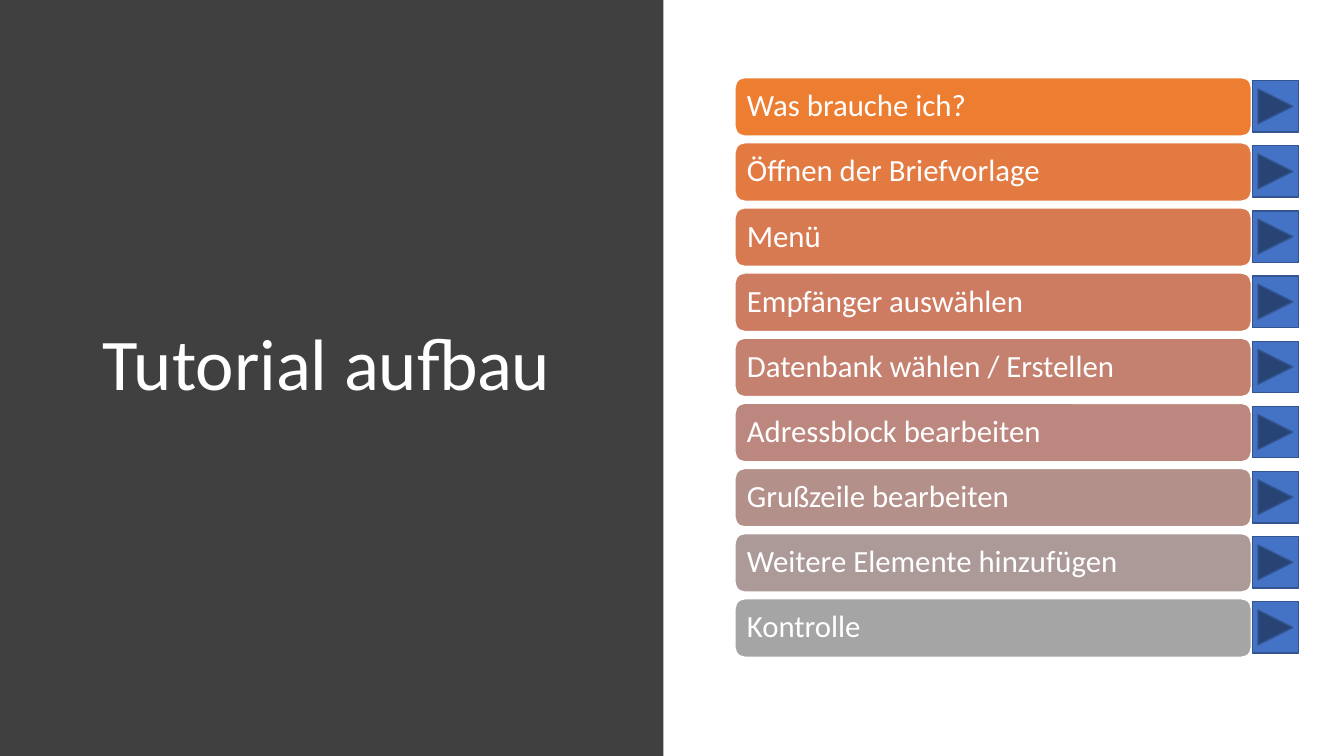
from pptx import Presentation
from pptx.dml.color import RGBColor
from pptx.enum.shapes import MSO_SHAPE
from pptx.enum.text import MSO_ANCHOR, MSO_AUTO_SIZE, PP_ALIGN
from pptx.util import Inches, Pt

RECT = MSO_SHAPE.RECTANGLE
ROUNDED = MSO_SHAPE.ROUNDED_RECTANGLE
FORWARD = MSO_SHAPE.ACTION_BUTTON_FORWARD_OR_NEXT
MIDDLE = MSO_ANCHOR.MIDDLE
LEFT = PP_ALIGN.LEFT
NO_FIT = MSO_AUTO_SIZE.NONE

WHITE = RGBColor(0xFF, 0xFF, 0xFF)
DARK = RGBColor(0x40, 0x40, 0x40)
BLUE = RGBColor(0x44, 0x72, 0xC4)
BLUE_EDGE = RGBColor(0x32, 0x54, 0x91)

STEPS = [
    ("Was brauche ich?", RGBColor(0xED, 0x7D, 0x31)),
    ("Öffnen der Briefvorlage", RGBColor(0xE2, 0x7A, 0x42)),
    ("Menü", RGBColor(0xD8, 0x7A, 0x51)),
    ("Empfänger auswählen", RGBColor(0xCE, 0x7C, 0x61)),
    ("Datenbank wählen / Erstellen", RGBColor(0xC4, 0x81, 0x70)),
    ("Adressblock bearbeiten", RGBColor(0xBC, 0x87, 0x7E)),
    ("Grußzeile bearbeiten", RGBColor(0xB4, 0x90, 0x8B)),
    ("Weitere Elemente hinzufügen", RGBColor(0xAC, 0x9A, 0x99)),
    ("Kontrolle", RGBColor(0xA5, 0xA5, 0xA5)),
]
FIRST_TOP, LAST_TOP = 0.77, 5.94
PITCH = (LAST_TOP - FIRST_TOP) / (len(STEPS) - 1)


def add_box(kind, left, top, width, height, fill, line=None):
    sp = slide.shapes.add_shape(
        kind, Inches(left), Inches(top), Inches(width), Inches(height))
    sp.shadow.inherit = False
    sp.fill.solid()
    sp.fill.fore_color.rgb = fill
    if line is None:
        sp.line.fill.background()
    else:
        sp.line.color.rgb = line
        sp.line.width = Pt(1)
    return sp


def set_text(sp, text, size, inset=0.1):
    tf = sp.text_frame
    tf.word_wrap = True
    tf.auto_size = NO_FIT
    tf.vertical_anchor = MIDDLE
    tf.margin_left = tf.margin_right = Inches(inset)
    tf.margin_top = tf.margin_bottom = Inches(0.05)
    p = tf.paragraphs[0]
    p.alignment = LEFT
    p.line_spacing = 0.9
    r = p.add_run()
    r.text = text
    r.font.name = "Calibri"
    r.font.size = Pt(size)
    r.font.color.rgb = WHITE


prs = Presentation()
prs.slide_width = Inches(13.33)
prs.slide_height = Inches(7.5)
slide = prs.slides.add_slide(prs.slide_layouts[5])

panel = add_box(RECT, 0, 0, 6.58, 7.5, DARK)
slide.shapes._spTree.insert(2, panel._element)

title = slide.shapes.title
title.left, title.top = Inches(0.92), Inches(0.68)
title.width, title.height = Inches(5.24), Inches(5.92)
set_text(title, "Tutorial aufbau", 52)

for i, (text, color) in enumerate(STEPS):
    bar = add_box(ROUNDED, 7.29, FIRST_TOP + i * PITCH, 5.12, 0.58, color, WHITE)
    set_text(bar, text, 22, inset=0.09)

for i in range(len(STEPS)):
    add_box(FORWARD, 12.42, FIRST_TOP + 0.03 + i * PITCH, 0.46, 0.51, BLUE, BLUE_EDGE)

prs.save("out.pptx")
